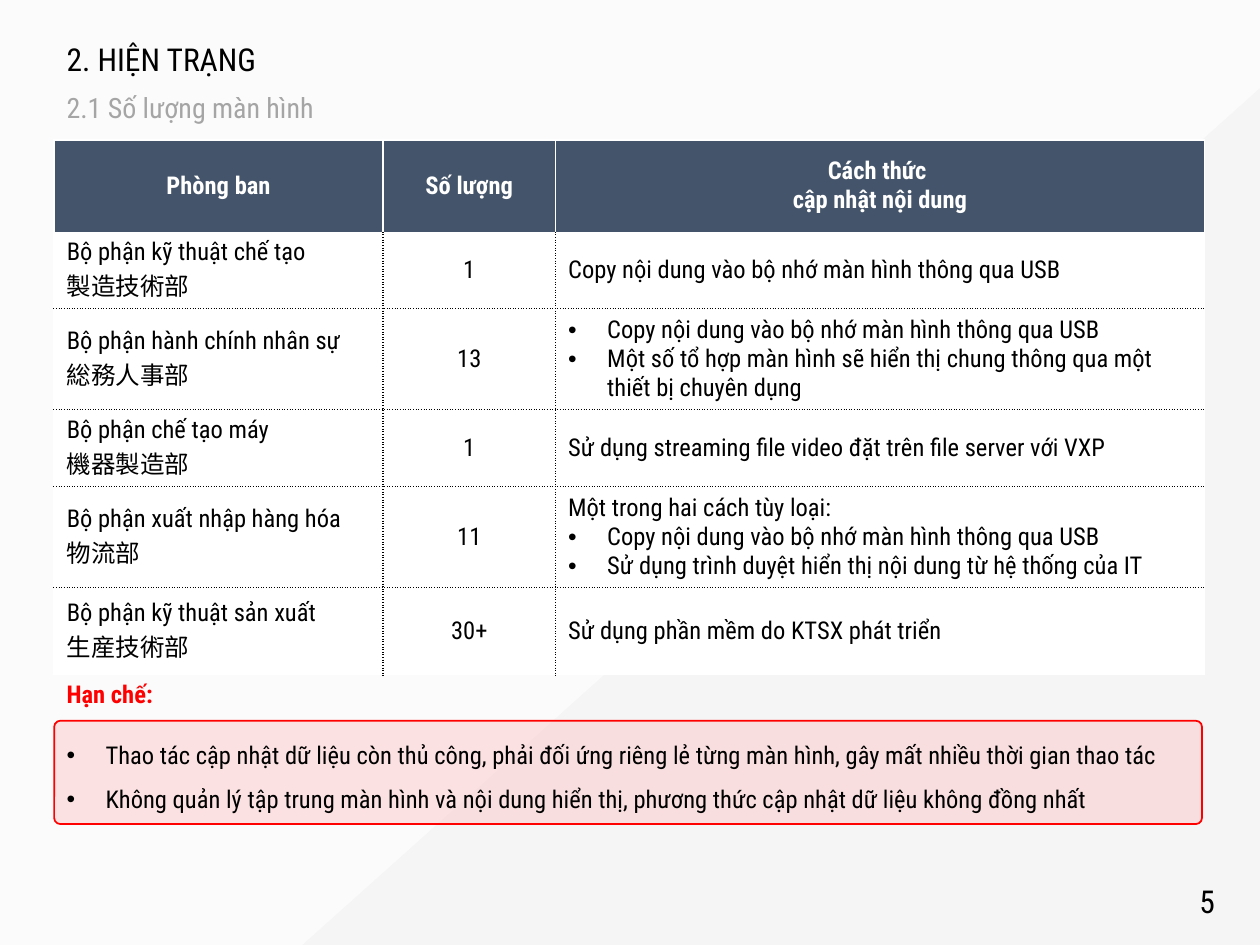
from lxml.etree import SubElement
from pptx import Presentation
from pptx.dml.color import RGBColor
from pptx.enum.shapes import MSO_SHAPE
from pptx.enum.text import MSO_ANCHOR, PP_ALIGN
from pptx.oxml.ns import qn
from pptx.util import Inches, Pt

LATIN, JAPANESE = "Roboto Condensed", "Noto Sans CJK JP"
LEFT, WIDTH = 0.43, 9.14
COLUMN_WIDTHS = [2.61, 1.37, 5.15]
ROW_HEIGHTS = [0.73, 0.61, 0.79, 0.61, 0.79, 0.7]
HEADINGS = ["Phòng ban", "Số lượng", "Cách thức \ncập nhật nội dung"]
USB_COPY = "Copy nội dung vào bộ nhớ màn hình thông qua USB"
DEPARTMENTS = [
    ("Bộ phận kỹ thuật chế tạo", "製造技術部", "1", [USB_COPY]),
    ("Bộ phận hành chính nhân sự", "総務人事部", "13", [
        "• " + USB_COPY,
        "• Một số tổ hợp màn hình sẽ hiển thị chung thông qua một thiết bị chuyên dụng"]),
    ("Bộ phận chế tạo máy", "機器製造部", "1",
     ["Sử dụng streaming file video đặt trên file server với VXP"]),
    ("Bộ phận xuất nhập hàng hóa", "物流部", "11", [
        "Một trong hai cách tùy loại:",
        "• " + USB_COPY,
        "• Sử dụng trình duyệt hiển thị nội dung từ hệ thống của IT"]),
    ("Bộ phận kỹ thuật sản xuất", "生産技術部", "30+",
     ["Sử dụng phần mềm do KTSX phát triển"]),
]
LIMITATIONS = [
    "• Thao tác cập nhật dữ liệu còn thủ công, phải đối ứng riêng lẻ từng màn hình, "
    "gây mất nhiều thời gian thao tác",
    "• Không quản lý tập trung màn hình và nội dung hiển thị, "
    "phương thức cập nhật dữ liệu không đồng nhất",
]


def rgb(color):
    """Turn a hex string into a colour."""
    return RGBColor.from_string(color)


def add_bullet(paragraph):
    """Give a paragraph a round bullet with a hanging indent."""
    properties = paragraph._p.get_or_add_pPr()
    properties.set("marL", str(Inches(0.31)))
    properties.set("indent", str(-Inches(0.31)))
    SubElement(properties, qn("a:buFont"), typeface="Arial")
    SubElement(properties, qn("a:buChar"), char="•")


def write(frame, lines, size=14, color="000000", bold=False, align=PP_ALIGN.LEFT, spacing=None):
    """Write lines as paragraphs, with a bullet for those that start with one."""
    frame.text = "\n".join(line.removeprefix("• ") for line in lines)
    for paragraph, line in zip(frame.paragraphs, lines):
        paragraph.alignment = align
        if spacing:
            paragraph.line_spacing = spacing
        if line.startswith("• "):
            add_bullet(paragraph)
        for run in paragraph.runs:
            font = run.font
            font.size, font.bold, font.color.rgb = Pt(size), bold, rgb(color)
            is_japanese = line[0] >= "\u4e00" and line[0] <= "\u9fff"
            font.name = JAPANESE if is_japanese else LATIN
            if is_japanese:
                SubElement(run._r.rPr, qn("a:ea"), typeface=JAPANESE)


def add_text(slide, box, lines, wrap=True, anchor=MSO_ANCHOR.TOP, **style):
    """Add a text box."""
    frame = slide.shapes.add_textbox(*map(Inches, box)).text_frame
    frame.word_wrap, frame.vertical_anchor = wrap, anchor
    write(frame, lines, **style)


def add_panel(slide, kind, box, adjustment, fill, line=None, opacity=None):
    """Add a filled shape, outlined and see-through on request."""
    panel = slide.shapes.add_shape(kind, *map(Inches, box))
    panel.shadow.inherit = False
    panel.adjustments[0] = adjustment
    panel.fill.solid()
    panel.fill.fore_color.rgb = rgb(fill)
    if opacity:
        fill_color = panel._element.spPr.find(qn("a:solidFill"))[0]
        SubElement(fill_color, qn("a:alpha"), val=str(opacity * 1000))
    if line:
        panel.line.color.rgb, panel.line.width = rgb(line), Pt(1)
    else:
        panel.line.fill.background()


def set_border(cell, side, color, dash="solid"):
    """Draw one edge of a cell, or clear it when there is no colour."""
    edge = SubElement(cell._tc.get_or_add_tcPr(), qn("a:ln" + side), w=str(Pt(1)))
    if color:
        SubElement(SubElement(edge, qn("a:solidFill")), qn("a:srgbClr"), val=color)
        SubElement(edge, qn("a:prstDash"), val=dash)
    else:
        SubElement(edge, qn("a:noFill"))


def style_cell(cell, row, column):
    """Set the fill, anchor and edges that suit the place of a cell."""
    last_row, last_column = len(ROW_HEIGHTS) - 1, len(COLUMN_WIDTHS) - 1
    dotted, white, clear = ("000000", "sysDot"), ("FFFFFF",), (None,)
    inner = dotted if row else white
    edges = {
        "L": inner if column else white,
        "R": inner if column < last_column else white,
        "T": dotted if row > 1 else clear if row else white,
        "B": dotted if 0 < row < last_row else clear,
    }
    for side, style in edges.items():
        set_border(cell, side, *style)
    cell.fill.solid()
    cell.fill.fore_color.rgb = rgb("FFFFFF" if row else "44546A")
    cell.vertical_anchor = MSO_ANCHOR.MIDDLE


def add_department_table(slide):
    """Add the table of screens per department."""
    rows = [[heading.split("\n") for heading in HEADINGS]]
    rows += [[[name, japanese], [count], method] for name, japanese, count, method in DEPARTMENTS]
    box = (LEFT, 1.11, WIDTH, sum(ROW_HEIGHTS))
    table = slide.shapes.add_table(len(rows), len(HEADINGS), *map(Inches, box)).table
    for column, width in zip(table.columns, COLUMN_WIDTHS):
        column.width = Inches(width)
    for row, height in zip(table.rows, ROW_HEIGHTS):
        row.height = Inches(height)
    for r, row in enumerate(rows):
        for c, lines in enumerate(row):
            cell = table.cell(r, c)
            style_cell(cell, r, c)
            write(cell.text_frame, lines, bold=r == 0, color="000000" if r else "FFFFFF",
                  align=PP_ALIGN.CENTER if r == 0 or c == 1 else PP_ALIGN.LEFT)


def main():
    """Build the slide and save it."""
    deck = Presentation()
    deck.slide_width, deck.slide_height = Inches(10), Inches(7.5)
    slide = deck.slides.add_slide(deck.slide_layouts[6])
    slide.background.fill.solid()
    slide.background.fill.fore_color.rgb = rgb("FBFBFB")
    add_panel(slide, MSO_SHAPE.ISOSCELES_TRIANGLE, (2.4, 0.7, 7.6, 6.8), 1, "F5F5F5")
    add_text(slide, (LEFT, 0.31, WIDTH, 0.35), ["2. HIỆN TRẠNG"],
             anchor=MSO_ANCHOR.MIDDLE, size=18, spacing=0.9)
    add_text(slide, (7.49, 6.95, 2.25, 0.4), ["5"],
             anchor=MSO_ANCHOR.MIDDLE, size=18, align=PP_ALIGN.RIGHT)
    add_text(slide, (LEFT, 0.7, WIDTH, 0.38), ["2.1 Số lượng màn hình"],
             size=16, color="A5A5A5", spacing=0.9)
    add_department_table(slide)
    add_panel(slide, MSO_SHAPE.ROUNDED_RECTANGLE, (LEFT, 5.72, 9.11, 0.82), 0.06,
              "FCC9C9", line="FF0000", opacity=50)
    add_text(slide, (LEFT, 5.34, 0.89, 0.34), ["Hạn chế:"], wrap=False, color="FF0000", bold=True)
    add_text(slide, (LEFT, 5.71, 8.93, 0.81), LIMITATIONS, wrap=False, spacing=1.5)
    deck.save("out.pptx")


if __name__ == "__main__":
    main()
